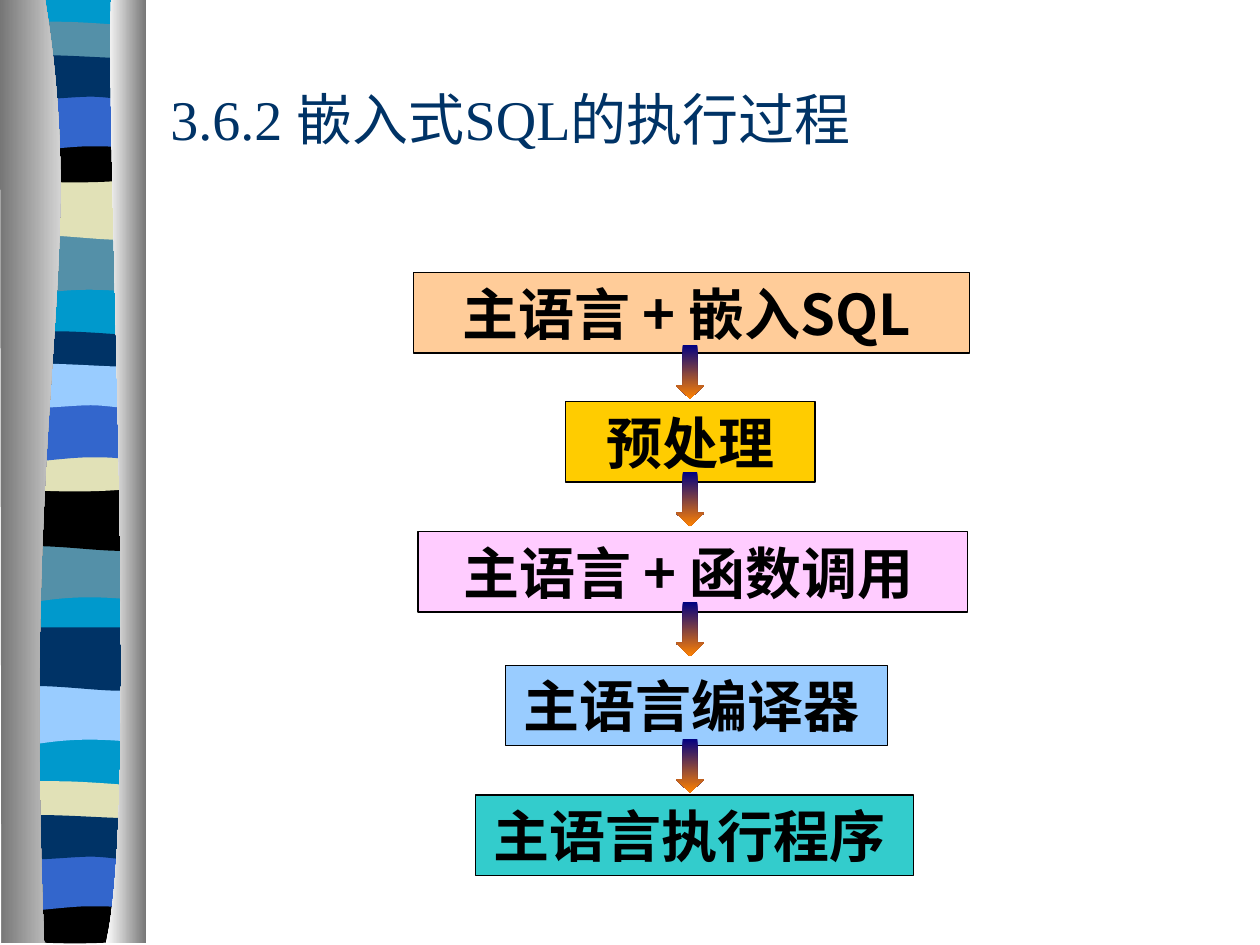
from lxml import etree
from pptx import Presentation
from pptx.dml.color import RGBColor
from pptx.enum.shapes import MSO_SHAPE
from pptx.enum.text import MSO_ANCHOR, PP_ALIGN
from pptx.oxml.ns import qn
from pptx.util import Cm, Pt

RECTANGLE = MSO_SHAPE.RECTANGLE
DOWN_ARROW = MSO_SHAPE.DOWN_ARROW
MIDDLE = MSO_ANCHOR.MIDDLE
CENTER = PP_ALIGN.CENTER
LEFT = PP_ALIGN.LEFT

TITLE_ONLY = 5

BLACK, NAVY, BLUE = "000000", "003366", "3366CC"
SLATE, CREAM, SKY, CYAN = "5490A8", "E1E1B7", "99CCFF", "0099CC"
GREY, WHITE = "767676", "FFFFFF"

# Outlines in cm: a pair is a corner, six numbers are a Bezier curve.
BAND_LEFT = 0.15
WAVE = [(2.72, 0), (2.72, 1.19), (0.84, 0.97, 0.46, 1.37, 0, 1.19), (0, 0)]
SWELL = [(2.72, 0), (2.72, 1.22), (2.26, 1.4, 0.84, 1.07, 0, 1.22), (0, 0)]
CREST = [(2.72, 0.13), (2.72, 0.74), (2.26, 0.84, 0.46, 0.84, 0, 0.74),
         (0, 0.13), (0.18, 0, 0.58, 0.03, 1.04, 0.03),
         (1.5, 0.03, 2.36, 0.1, 2.72, 0.13)]
BOWL = [(2.72, 0), (2.72, 0.84), (2.26, 0.97, 0.46, 0.97, 0, 0.84),
        (0, 0), (1.68, 0.13, 2.16, 0, 2.72, 0)]
ARCH = [(2.72, 0), (2.72, 1.19), (2.29, 1.07, 2.11, 1.07, 1.65, 1.07),
        (1.22, 1.07, 0.43, 1.19, 0, 1.19), (0, 0)]
RIPPLE = [(2.72, 0.13), (2.72, 0.91), (2.54, 1.04, 2.11, 0.91, 1.68, 0.91),
          (1.22, 0.91, 0.28, 1.04, 0, 0.91), (0, 0.13),
          (0.38, 0, 1.83, 0.13, 2.29, 0.13)]
BANDS = [
    (WAVE, 4.72, SLATE), (SWELL, 3.56, CREAM), (CREST, 0.41, SLATE),
    (BOWL, 2.74, BLACK), (ARCH, 1.88, BLUE), (RIPPLE, 1.04, NAVY),
    (WAVE, 10.92, SLATE), (SWELL, 9.83, BLACK), (CREST, 6.65, NAVY),
    (BOWL, 8.97, CREAM), (ARCH, 8.15, BLUE), (RIPPLE, 7.26, SKY),
    (WAVE, 13.79, SKY), (SWELL, 12.65, NAVY), (CREST, 15.72, CREAM),
    (BOWL, 18.08, BLACK), (ARCH, 17.2, BLUE), (RIPPLE, 16.36, NAVY),
]
LEFT_CURTAIN = [(0.91, 0), (1.8, 5.49, 0.43, 7.52, 0.89, 19.02),
                (0.03, 19.02), (0, 0)]
RIGHT_CURTAIN = [(2.24, 0), (2.13, 3.18, 2.82, 16.41, 2.13, 19.02),
                 (2.95, 19.02), (2.95, 0)]

# Text, left, top, width, right inset (cm), fill
STEPS = [
    ("主语言 + 嵌入SQL", 8.33, 5.5, 11.21, 0.43, "FFCC99"),
    ("预处理", 11.4, 8.1, 5.03, 0.25, "FFCC00"),
    ("主语言 + 函数调用", 8.43, 10.72, 11.08, 0.43, "FFCCFF"),
    ("主语言编译器", 10.19, 13.41, 7.7, 0.43, "99CCFF"),
    ("主语言执行程序", 9.58, 16.03, 8.84, 0.43, "33CCCC"),
]
STEP_HEIGHT = 1.62
ARROW_TOPS = [6.95, 9.52, 12.14, 14.89]


def rgb(value):
    return RGBColor.from_string(value)


def fill_solid(shape, color):
    shape.shadow.inherit = False
    shape.fill.solid()
    shape.fill.fore_color.rgb = rgb(color)
    shape.line.fill.background()


def fill_gradient(shape, start, end, angle):
    """Two-colour gradient; the angle runs counter-clockwise."""
    shape.shadow.inherit = False
    shape.fill.gradient()
    shape.fill.gradient_angle = angle
    for stop, color in zip(shape.fill.gradient_stops, (start, end)):
        stop.color.rgb = rgb(color)
    shape.line.fill.background()


def add_outline(slide, outline, left=0, top=0):
    """Draw the control points as a polygon, then bend its curved segments."""
    points = [(Cm(left + segment[i]), Cm(top + segment[i + 1]))
              for segment in outline for i in range(0, len(segment), 2)]
    builder = slide.shapes.build_freeform(*points[0])
    builder.add_line_segments(points[1:], close=True)
    shape = builder.convert_to_shape()
    lines = shape.element.findall(".//" + qn("a:lnTo"))
    position = 0
    for segment in outline[1:]:
        count = len(segment) // 2
        if count == 3:
            curve = etree.Element(qn("a:cubicBezTo"))
            lines[position].addprevious(curve)
            for line in lines[position:position + count]:
                curve.append(line[0])
                line.getparent().remove(line)
        position += count
    return shape


def add_ribbon(slide, master):
    """Group the ribbon and set it behind everything on the master."""
    backing = slide.shapes.add_shape(
        RECTANGLE, Cm(0.18), Cm(0), Cm(2.72), Cm(18.97))
    fill_solid(backing, CYAN)
    parts = [backing]
    for outline, top, color in BANDS:
        band = add_outline(slide, outline, BAND_LEFT, top)
        fill_solid(band, color)
        parts.append(band)
    for outline, start, end in ((LEFT_CURTAIN, GREY, WHITE),
                                (RIGHT_CURTAIN, WHITE, GREY)):
        curtain = add_outline(slide, outline)
        fill_gradient(curtain, start, end, 0)
        parts.append(curtain)
    ribbon = slide.shapes.add_group_shape(parts)
    master.shapes[0].element.addprevious(ribbon.element)


def format_title(title):
    title.left, title.top = Cm(3.18), Cm(2.11)
    title.width, title.height = Cm(21.59), Cm(1.9)
    frame = title.text_frame
    frame.text = "3.6.2 嵌入式SQL的执行过程"
    frame.vertical_anchor = MIDDLE
    frame.margin_top, frame.margin_bottom = Cm(0), Cm(1.36)
    paragraph = frame.paragraphs[0]
    paragraph.alignment = LEFT
    font = paragraph.runs[0].font
    font.name, font.size = "Times New Roman", Pt(32)
    font.color.rgb = rgb(NAVY)


def add_step(slide, text, left, top, width, right_inset, color):
    step = slide.shapes.add_shape(
        RECTANGLE, Cm(left), Cm(top), Cm(width), Cm(STEP_HEIGHT))
    fill_solid(step, color)
    step.line.color.rgb = rgb(BLACK)
    step.line.width = Pt(0.75)
    frame = step.text_frame
    frame.text = text
    frame.word_wrap = False
    frame.vertical_anchor = MIDDLE
    frame.margin_right = Cm(right_inset)
    paragraph = frame.paragraphs[0]
    paragraph.alignment = CENTER
    font = paragraph.runs[0].font
    font.name, font.size, font.bold = "Noto Sans CJK SC", Pt(32), True
    font.color.rgb = rgb(BLACK)
    east_asian = etree.SubElement(paragraph.runs[0].font._element, qn("a:ea"))
    east_asian.set("typeface", font.name)


def add_arrow(slide, top):
    arrow = slide.shapes.add_shape(
        DOWN_ARROW, Cm(13.62), Cm(top), Cm(0.58), Cm(1.09))
    arrow.adjustments[0], arrow.adjustments[1] = 0.5, 0.47
    fill_gradient(arrow, "000082", "FF8200", 270)


def main():
    deck = Presentation()
    deck.slide_width, deck.slide_height = Cm(25.4), Cm(19.05)
    slide = deck.slides.add_slide(deck.slide_layouts[TITLE_ONLY])
    add_ribbon(slide, deck.slide_master)
    format_title(slide.shapes.title)
    for step in STEPS:
        add_step(slide, *step)
    for top in ARROW_TOPS:
        add_arrow(slide, top)
    deck.save("out.pptx")


if __name__ == "__main__":
    main()
